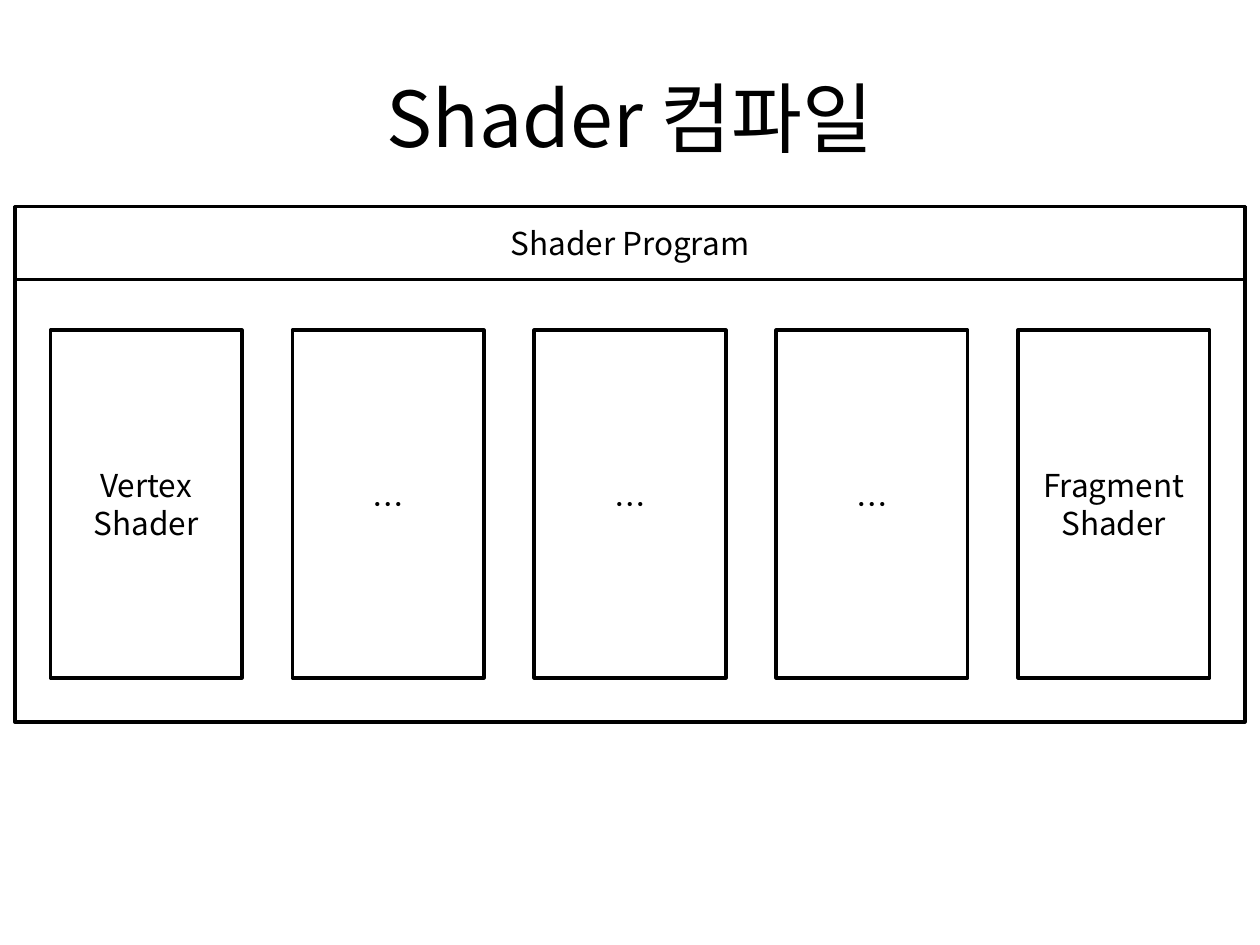
from lxml import etree
from pptx import Presentation
from pptx import util as u
from pptx.dml.color import RGBColor
from pptx.enum import shapes, text
from pptx.oxml import ns

BLACK = RGBColor(0, 0, 0)
WHITE = RGBColor(255, 255, 255)
FONT = "Noto Sans CJK KR"


class Sheet:
    """Holds the style and the current slide."""

    def __init__(self, slide, size=18, line=2):
        self.slide = slide
        self.size = size
        self.line = line

    def label(self, shape, words, size):
        frame = shape.text_frame
        frame.text = words
        frame.word_wrap = True
        frame.vertical_anchor = text.MSO_ANCHOR.MIDDLE
        para = frame.paragraphs[0]
        para.alignment = text.PP_ALIGN.CENTER
        for run in para.runs:
            font = run.font
            font.name = FONT
            font.size = u.Pt(size)
            font.color.rgb = BLACK
            # Hangul takes its typeface from the East Asian slot
            east = etree.SubElement(run._r.get_or_add_rPr(), ns.qn("a:ea"))
            east.set("typeface", FONT)

    def title(self, words, left, top, width, height, size=44):
        box = self.slide.shapes.add_textbox(
            u.Inches(left), u.Inches(top), u.Inches(width), u.Inches(height))
        self.label(box, words, size)

    def box(self, left, top, width, height, words=""):
        rect = self.slide.shapes.add_shape(
            shapes.MSO_SHAPE.RECTANGLE,
            u.Inches(left), u.Inches(top), u.Inches(width), u.Inches(height))
        rect.shadow.inherit = False
        rect.fill.solid()
        rect.fill.fore_color.rgb = WHITE
        rect.line.color.rgb = BLACK
        rect.line.width = u.Pt(self.line)
        if words:
            self.label(rect, words, self.size)


def main():
    deck = Presentation()
    deck.slide_width = u.Inches(10)
    deck.slide_height = u.Inches(7.5)
    sheet = Sheet(deck.slides.add_slide(deck.slide_layouts[6]))

    # Title
    sheet.title("Shader 컴파일", 0.5, 0.3, 9, 1.25)

    # Program frame
    left, top, width = 0.12, 1.64, 9.76
    sheet.box(left, top, width, 4.09)

    # Shader stages, evenly spaced
    first, pitch = 0.4, 1.92
    stages = ["Vertex Shader", "…", "…", "…", "Fragment Shader"]
    for i, stage in enumerate(stages):
        sheet.box(first + i * pitch, 2.62, 1.52, 2.76, stage)

    # Program header
    sheet.box(left, top, width, 0.58, "Shader Program")

    deck.save("out.pptx")


if __name__ == "__main__":
    main()
